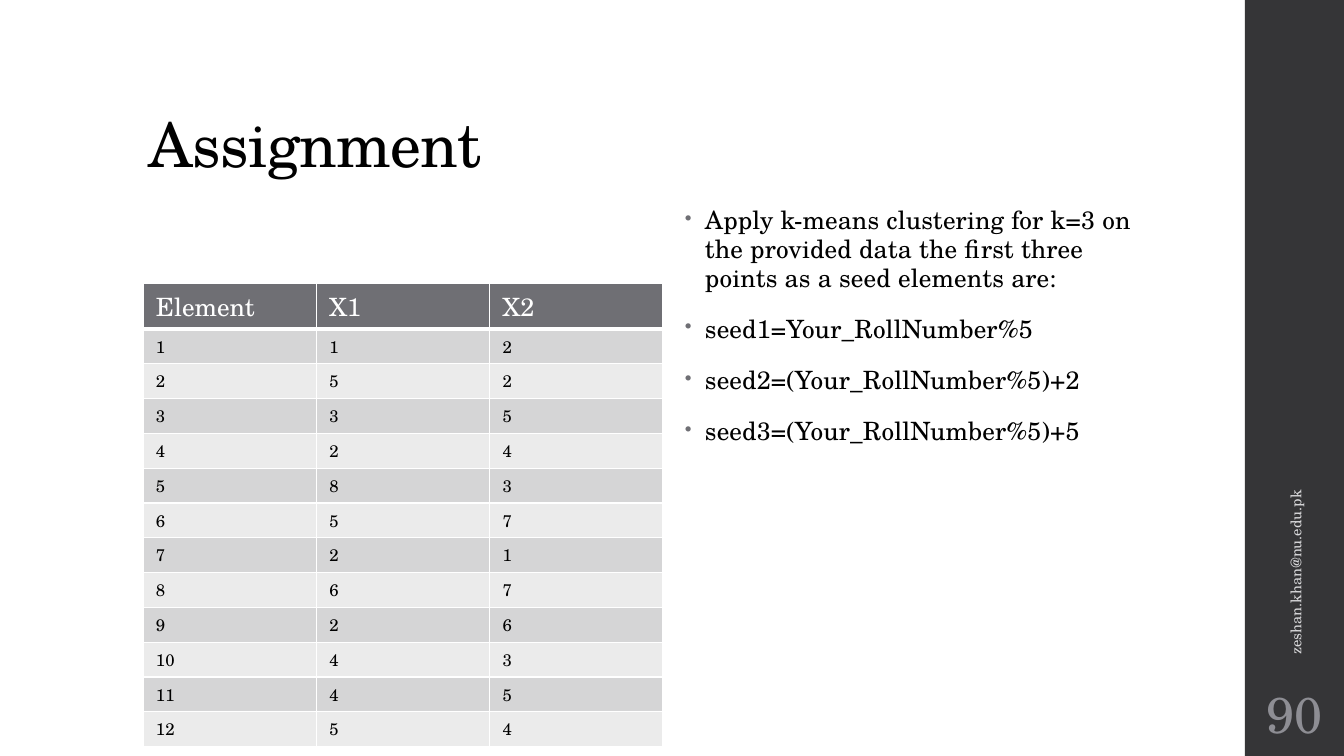
from lxml import etree
from pptx import Presentation
from pptx.dml.color import RGBColor
from pptx.enum.shapes import MSO_SHAPE
from pptx.enum.text import MSO_ANCHOR, PP_ALIGN
from pptx.oxml.ns import qn
from pptx.util import Emu, Pt

RECT = MSO_SHAPE.RECTANGLE
TOP, MIDDLE, BOTTOM = MSO_ANCHOR.TOP, MSO_ANCHOR.MIDDLE, MSO_ANCHOR.BOTTOM
LEFT, CENTER = PP_ALIGN.LEFT, PP_ALIGN.CENTER

FONT = "TeX Gyre Schola"
BLACK = RGBColor(0x00, 0x00, 0x00)
WHITE = RGBColor(0xFF, 0xFF, 0xFF)
SIDEBAR = RGBColor(0x35, 0x35, 0x37)
ACCENT = RGBColor(0x6F, 0x6F, 0x74)
BAND_DARK = RGBColor(0xD5, 0xD5, 0xD6)
BAND_LIGHT = RGBColor(0xEB, 0xEB, 0xEB)
PAGE_GREY = RGBColor(0x8E, 0x8E, 0x94)
EMAIL_GREY = RGBColor(0xD9, 0xD9, 0xDB)

HEADER = ("Element", "X1", "X2")
POINTS = [(1, 2), (5, 2), (3, 5), (2, 4), (8, 3), (5, 7),
          (2, 1), (6, 7), (2, 6), (4, 3), (4, 5), (5, 4)]
TASKS = [
    "Apply k-means clustering for k=3 on the provided data "
    "the first three points as a seed elements are:",
    "seed1=Your_RollNumber%5",
    "seed2=(Your_RollNumber%5)+2",
    "seed3=(Your_RollNumber%5)+5",
]


def px(n):
    """Convert pixels (1344 across the slide) to EMU."""
    return Emu(round(n * 914400 / 100.8))


def set_all(obj, values):
    for name, value in values.items():
        setattr(obj, name, value)


def add_run(p, text, size, color, spacing=0):
    """Add a run; spacing is in hundredths of a point."""
    r = p.add_run()
    r.text = text
    set_all(r.font, {"name": FONT, "size": Pt(size)})
    r.font.color.rgb = color
    if spacing:
        r._r.get_or_add_rPr().set("spc", str(spacing))


def add_box(slide, box, anchor=TOP, margins=(10, 5)):
    sp = slide.shapes.add_textbox(*map(px, box))
    side, edge = map(px, margins)
    set_all(sp.text_frame, {
        "word_wrap": True, "vertical_anchor": anchor,
        "margin_left": side, "margin_right": side,
        "margin_top": edge, "margin_bottom": edge})
    return sp


def add_label(slide, box, text, size, color, anchor=MIDDLE, align=LEFT,
              margins=(10, 5), spacing=0, line_spacing=1.0, rotation=0):
    sp = add_box(slide, box, anchor, margins)
    sp.rotation = rotation
    p = sp.text_frame.paragraphs[0]
    set_all(p, {"alignment": align, "line_spacing": line_spacing})
    add_run(p, text, size, color, spacing)


def add_sidebar(slide):
    sp = slide.shapes.add_shape(RECT, *map(px, (1245, 0, 99, 756)))
    sp.shadow.inherit = False
    sp.fill.solid()
    sp.fill.fore_color.rgb = SIDEBAR
    sp.line.fill.background()


def add_bullet(p):
    pPr = p._p.get_or_add_pPr()
    pPr.set("marL", str(px(20)))
    pPr.set("indent", str(-px(20)))
    color = etree.SubElement(pPr, qn("a:buClr"))
    etree.SubElement(color, qn("a:srgbClr"), val=str(ACCENT))
    etree.SubElement(pPr, qn("a:buSzPct"), val="80000")
    etree.SubElement(pPr, qn("a:buChar"), char="•")


def add_bullets(slide, box, items):
    tf = add_box(slide, box).text_frame
    for i, item in enumerate(items):
        p = tf.add_paragraph() if i else tf.paragraphs[0]
        add_bullet(p)
        set_all(p, {"line_spacing": 0.95, "space_after": Pt(2),
                    "space_before": Pt(14 if i else 0)})
        add_run(p, item, 18, BLACK, 10)


def set_borders(cell, bottom):
    """Draw white borders of 1 pt, with the bottom one as wide as given."""
    tcPr = cell._tc.get_or_add_tcPr()
    widths = {"lnL": 1, "lnR": 1, "lnT": 1, "lnB": bottom}
    for i, (side, width) in enumerate(widths.items()):
        ln = etree.Element(qn(f"a:{side}"), w=str(Pt(width)))
        fill = etree.SubElement(ln, qn("a:solidFill"))
        etree.SubElement(fill, qn("a:srgbClr"), val=str(WHITE))
        tcPr.insert(i, ln)


def fill_cell(cell, text, size, color, fill, bottom):
    set_all(cell, {"margin_left": px(13), "margin_right": px(13),
                   "margin_top": px(5), "margin_bottom": px(5)})
    cell.fill.solid()
    cell.fill.fore_color.rgb = fill
    set_borders(cell, bottom)
    add_run(cell.text_frame.paragraphs[0], text, size, color)


def add_points_table(slide, left, top, width, height, header_height):
    rows = [HEADER] + [(i, *point) for i, point in enumerate(POINTS, 1)]
    table = slide.shapes.add_table(
        len(rows), len(HEADER), *map(px, (left, top, width, height))).table
    for column in table.columns:
        column.width = px(width / len(HEADER))
    for i, values in enumerate(rows):
        if i == 0:
            row_height, style = header_height, (18, WHITE, ACCENT, 3)
        else:
            row_height = (height - header_height) / len(POINTS)
            style = (12, BLACK, BAND_DARK if i % 2 else BAND_LIGHT, 1)
        table.rows[i].height = px(row_height)
        for j, value in enumerate(values):
            fill_cell(table.cell(i, j), str(value), *style)


def main():
    prs = Presentation()
    prs.slide_width, prs.slide_height = px(1344), px(756)
    slide = prs.slides.add_slide(prs.slide_layouts[6])
    add_sidebar(slide)
    add_label(slide, (139, 40, 1068, 146), "Assignment", 44, BLACK,
              anchor=BOTTOM, spacing=-50, line_spacing=0.9)
    add_points_table(slide, 143, 283, 520, 464, 46)
    add_bullets(slide, (675, 202, 494, 480), TASKS)
    add_label(slide, (1245, 680, 99, 66), "90", 36, PAGE_GREY,
              align=CENTER, margins=(5, 5))
    add_label(slide, (1098, 447, 395, 40), "zeshan.khan@nu.edu.pk", 10.5,
              EMAIL_GREY, rotation=270)
    prs.save("out.pptx")


if __name__ == "__main__":
    main()
